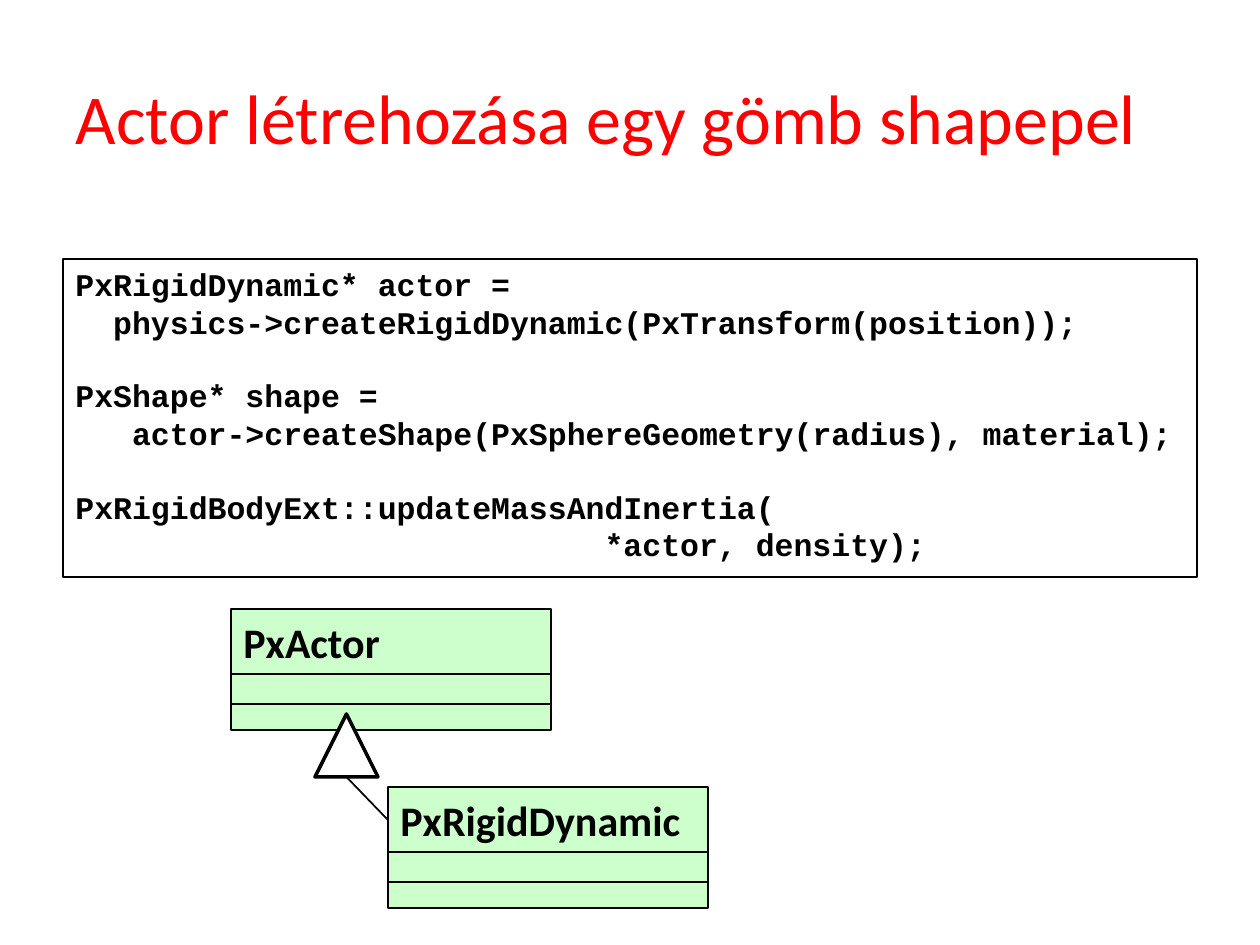
from pptx import Presentation
from pptx import util as u
from pptx.dml.color import RGBColor
from pptx.enum import shapes, text
from pptx.oxml.ns import qn
from lxml import etree

PX_PER_INCH = 126
BLACK = RGBColor(0x00, 0x00, 0x00)
WHITE = RGBColor(0xFF, 0xFF, 0xFF)
RED = RGBColor(0xFF, 0x00, 0x00)
GREEN = RGBColor(0xCC, 0xFF, 0xCC)

CODE_CHARACTER = 18.9
CODE_LINE = 20.4
CODE = [
    ("PxRigidDynamic* actor =", 0, 0),
    ("physics->createRigidDynamic(PxTransform(position));", 2, 0),
    ("PxShape* shape =", 0, 1),
    ("actor->createShape(PxSphereGeometry(radius), material);", 3, 0),
    ("PxRigidBodyExt::updateMassAndInertia(", 0, 1),
    ("*actor, density);", 28, 0),
]


def px(value):
    return u.Emu(round(value * u.Inches(1) / PX_PER_INCH))


def write(paragraph, words, size, font="Calibri", color=BLACK, bold=False,
          indent=0, before=0):
    paragraph.alignment = text.PP_ALIGN.LEFT
    paragraph.space_before = u.Pt(before)
    properties = paragraph._p.get_or_add_pPr()
    properties.set("marL", str(px(indent)))
    properties.set("indent", "0")
    run = paragraph.add_run()
    run.text = words
    run.font.name = font
    run.font.size = u.Pt(size)
    run.font.bold = bold
    run.font.color.rgb = color


def add_box(parent, kind, box, fill, line_width=1):
    shape = parent.add_shape(kind, *map(px, box))
    shape.shadow.inherit = False
    shape.fill.solid()
    shape.fill.fore_color.rgb = fill
    shape.line.color.rgb = BLACK
    shape.line.width = u.Pt(line_width)
    return shape


def place_title(slide, box):
    title = slide.shapes.title
    title.left, title.top, title.width, title.height = map(px, box)
    frame = title.text_frame
    frame.word_wrap = True
    frame.vertical_anchor = text.MSO_ANCHOR.MIDDLE
    write(frame.paragraphs[0], "Actor létrehozása egy gömb shapepel", 40, color=RED)


def add_code(slide, box):
    frame = add_box(slide.shapes, shapes.MSO_SHAPE.RECTANGLE, box, WHITE).text_frame
    frame.word_wrap = True
    frame.vertical_anchor = text.MSO_ANCHOR.TOP
    for index, (words, indent, gap) in enumerate(CODE):
        paragraph = frame.add_paragraph() if index else frame.paragraphs[0]
        write(paragraph, words, 18, font="Courier New", bold=True,
              indent=indent * CODE_CHARACTER, before=gap * CODE_LINE)


def add_class(slide, name, left, top, width):
    group = slide.shapes.add_group_shape()
    header, *_ = [
        add_box(group.shapes, shapes.MSO_SHAPE.RECTANGLE,
                (left, top + offset, width, height), GREEN)
        for offset, height in ((0, 65), (65, 35), (95, 26))
    ]
    frame = header.text_frame
    frame.word_wrap = True
    frame.vertical_anchor = text.MSO_ANCHOR.MIDDLE
    write(frame.paragraphs[0], name, 24, bold=True)


def add_inheritance(slide, box, end):
    left, top, width, height = box
    add_box(slide.shapes, shapes.MSO_SHAPE.ISOSCELES_TRIANGLE, box, WHITE, line_width=2)
    connector = slide.shapes.add_connector(
        shapes.MSO_CONNECTOR.STRAIGHT,
        px(end[0]), px(end[1]), px(left + width / 2), px(top + height))
    connector.line.color.rgb = BLACK
    connector.line.width = u.Pt(1)
    etree.SubElement(connector._element.spPr, qn("a:effectLst"))


def main():
    presentation = Presentation()
    presentation.slide_width = px(1260)
    presentation.slide_height = px(945)
    slide = presentation.slides.add_slide(presentation.slide_layouts[5])
    place_title(slide, (63, 38, 1134, 157))
    add_code(slide, (63, 259, 1134, 318))
    add_class(slide, "PxActor", 231, 609, 320)
    add_class(slide, "PxRigidDynamic", 388, 787, 320)
    add_inheritance(slide, (315, 714, 63, 63), (388, 820))
    presentation.save("out.pptx")


if __name__ == "__main__":
    main()
